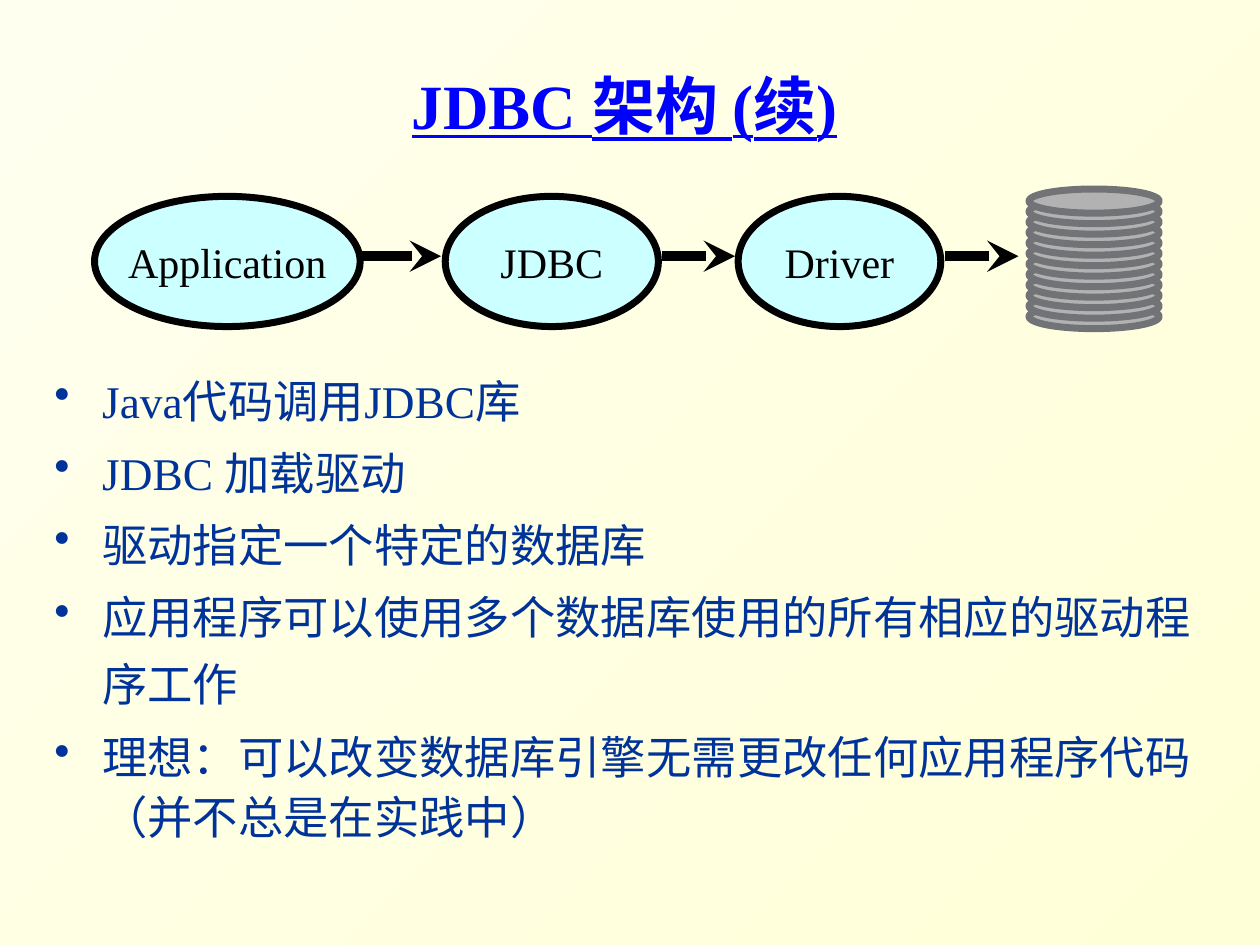
from lxml import etree
from pptx import Presentation
from pptx.dml.color import RGBColor
from pptx.enum.shapes import MSO_CONNECTOR, MSO_SHAPE
from pptx.enum.text import MSO_ANCHOR, MSO_AUTO_SIZE, PP_ALIGN
from pptx.oxml.ns import qn
from pptx.util import Inches, Pt

OVAL = MSO_SHAPE.OVAL
LINE = MSO_CONNECTOR.STRAIGHT
MIDDLE, TOP = MSO_ANCHOR.MIDDLE, MSO_ANCHOR.TOP
CENTER, LEFT = PP_ALIGN.CENTER, PP_ALIGN.LEFT
FIXED = MSO_AUTO_SIZE.NONE
COLS, ROWS = 120, 90
SIZE = 25.9
NODES = [("Application", 9, 25.3), ("JDBC", 42.4, 20.3), ("Driver", 70.3, 19.3)]
ARROWS = [(34, 42), (63, 70), (90, 97)]
POINTS = [
    [("Java代码调用JDBC库", SIZE)],
    [("JDBC 加载驱动", SIZE)],
    [("驱动指定一个特定的数据库", SIZE)],
    [("应用程序可以使用多个数据库使用的所有相应的驱动程序工作", SIZE), (" ", 29.6)],
    [("理想：可以改变数据库引擎无需更改任何应用程序代码（并不总是在实践中）", SIZE)],
]


def tint(code):
    return RGBColor.from_string(code)


def write(frame, lines, color="000000", bold=False, under=False, align=CENTER,
          anchor=MIDDLE, space=1.0, before=0, wrap=True, bullet=False):
    frame.auto_size = FIXED
    frame.word_wrap = wrap
    frame.vertical_anchor = anchor
    for num, runs in enumerate(lines):
        para = frame.add_paragraph() if num else frame.paragraphs[0]
        para.alignment = align
        para.line_spacing = space
        para.space_before = Pt(before)
        for text, size in runs:
            run = para.add_run()
            run.text = text
            font = run.font
            font.name, font.size = "Times New Roman", Pt(size)
            font.bold, font.underline = bold, under
            font.color.rgb = tint(color)
        if bullet:
            props = para._p.get_or_add_pPr()
            props.set("marL", str(Inches(0.38)))
            props.set("indent", str(-Inches(0.38)))
            shade = etree.SubElement(props, qn("a:buClr"))
            etree.SubElement(shade, qn("a:srgbClr"), val=color)
            etree.SubElement(props, qn("a:buChar"), char="•")


class Deck:
    """Holds the style and current slide, placed on a 120 by 90 grid."""

    def __init__(self):
        self.show = Presentation()
        self.show.slide_width, self.show.slide_height = Inches(10), Inches(7.5)
        self.slide = self.show.slides.add_slide(self.show.slide_layouts[5])
        self.shapes = self.slide.shapes

    def span(self, x, y):
        return (round(self.show.slide_width * x / COLS),
                round(self.show.slide_height * y / ROWS))

    def box(self, x, y, w, h):
        return self.span(x, y) + self.span(w, h)

    def back(self, start, end, angle):
        fill = self.slide.background.fill
        fill.gradient()
        fill.gradient_angle = angle
        for stop, code in zip(fill.gradient_stops, (start, end)):
            stop.color.rgb = tint(code)

    def title(self, text, *place):
        item = self.shapes.title
        item.left, item.top, item.width, item.height = self.box(*place)
        write(item.text_frame, [[(text, 36)]], color="0000FF", bold=True,
              under=True, space=0.85)

    def oval(self, place, fill, edge, text=None, home=None):
        item = (home or self.shapes).add_shape(OVAL, *self.box(*place))
        item.shadow.inherit = False
        item.fill.solid()
        item.fill.fore_color.rgb = tint(fill)
        item.line.color.rgb = tint(edge)
        item.line.width = Pt(4)
        if text:
            write(item.text_frame, [[(text, 24)]], wrap=False)

    def stack(self, x, y, w, h, count):
        group = self.shapes.add_group_shape()
        for step in reversed(range(count)):
            self.oval((x, y + step, w, h), "B2B2B2", "727377", home=group.shapes)

    def arrow(self, start, end, y):
        item = self.shapes.add_connector(LINE, *self.span(start, y), *self.span(end, y))
        item.line.color.rgb = tint("000000")
        item.line.width = Pt(6)
        etree.SubElement(item.line._get_or_add_ln(), qn("a:tailEnd"), type="stealth")
        etree.SubElement(item._element.spPr, qn("a:effectLst"))

    def list(self, lines, *place):
        item = self.shapes.add_textbox(*self.box(*place))
        write(item.text_frame, lines, color="003399", align=LEFT, anchor=TOP,
              space=1.1, before=7, bullet=True)


def main():
    deck = Deck()
    deck.back("FFFFD7", "FFFFEF", 135)
    deck.title("JDBC 架构 (续)", 12, 5, 95, 11)
    for text, x, w in NODES:
        deck.oval((x, 18.7, w, 12.4), "CCFFFF", "000000", text)
    deck.stack(98, 18, 12.4, 2.3, 12)
    for start, end in ARROWS:
        deck.arrow(start, end, 24.4)
    deck.list(POINTS, 4, 34.4, 113, 47.4)
    deck.show.save("out.pptx")


if __name__ == "__main__":
    main()
